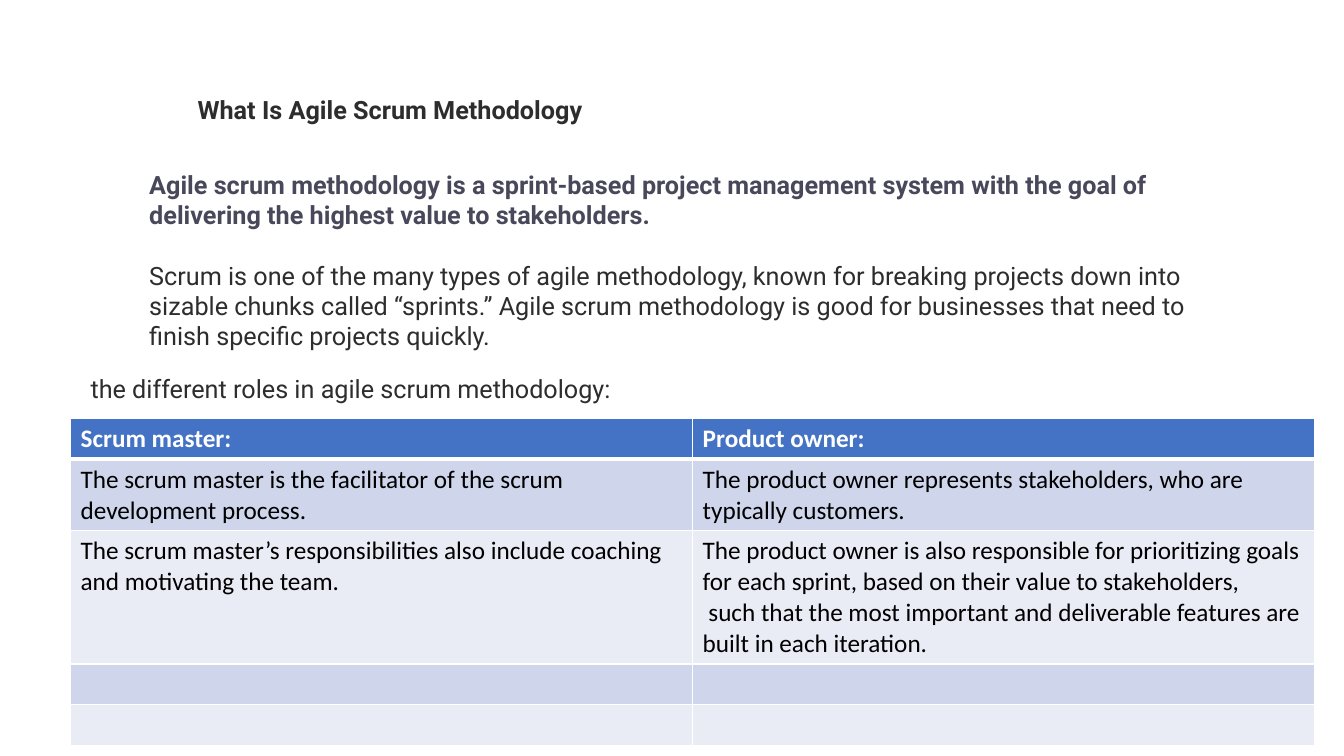
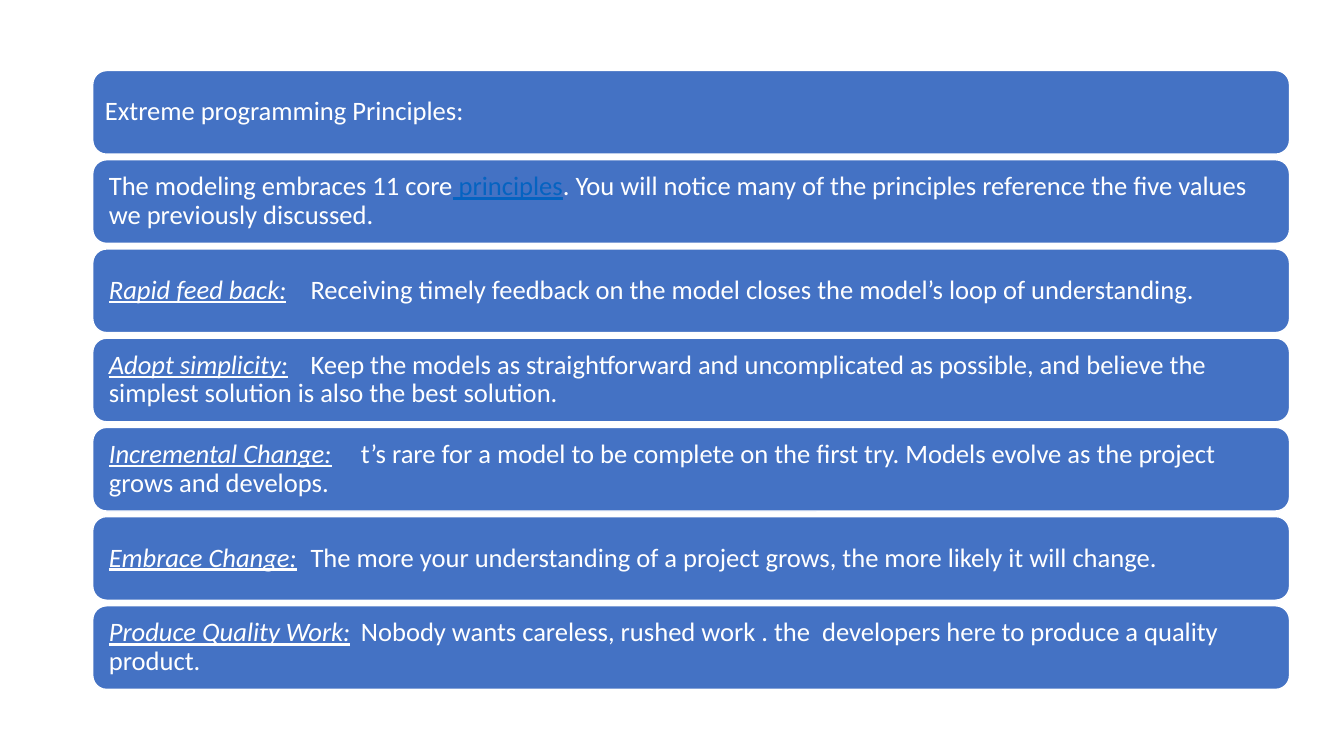
from dataclasses import dataclass, replace

from lxml.etree import SubElement
from pptx import Presentation
from pptx.dml.color import RGBColor
from pptx.enum.shapes import MSO_SHAPE
from pptx.enum.text import MSO_ANCHOR, MSO_AUTO_SIZE, PP_ALIGN
from pptx.oxml.ns import qn
from pptx.util import Inches, Pt


@dataclass(frozen=True)
class TextStyle:
    """Character formatting of a run."""
    font: str
    size: float
    color: RGBColor
    bold: bool = False
    italic: bool = False
    underline: bool = False


@dataclass(frozen=True)
class Box:
    """A region of a slide, in inches."""
    left: float
    top: float
    width: float
    height: float


@dataclass(frozen=True)
class Theme:
    """Colours and text styles shared by the slides."""
    accent: RGBColor = RGBColor.from_string("4472C4")
    band_dark: RGBColor = RGBColor.from_string("CFD5EA")
    band_light: RGBColor = RGBColor.from_string("E9EBF5")
    white: RGBColor = RGBColor.from_string("FFFFFF")
    body: TextStyle = TextStyle("Roboto", 18, RGBColor.from_string("2D2D2D"))
    lead: TextStyle = TextStyle("Roboto", 18, RGBColor.from_string("49485B"), bold=True)
    cell: TextStyle = TextStyle("Calibri", 18, RGBColor.from_string("000000"))
    panel: TextStyle = TextStyle("Calibri", 19, RGBColor.from_string("FFFFFF"))
    link_color: RGBColor = RGBColor.from_string("0563C1")


THEME = Theme()
HEADING = replace(THEME.body, bold=True)
CELL_HEADING = replace(THEME.cell, color=THEME.white, bold=True)
TERM = replace(THEME.panel, italic=True, underline=True)
LINK = replace(THEME.panel, color=THEME.link_color, underline=True)

ROLES = [
    [["Scrum master:"], ["Product owner:"]],
    [["The scrum master is the facilitator of the scrum development process."],
     ["The product owner represents stakeholders, who are typically customers."]],
    [["The scrum master’s responsibilities also include coaching and motivating the team."],
     ["The product owner is also responsible for prioritizing goals for each sprint, "
      "based on their value to stakeholders,",
      " such that the most important and deliverable features are built in each iteration."]],
    [[], []],
    [[], []],
]
ROLE_HEIGHTS = [0.4, 0.69, 1.3, 0.4, 0.4]

PRINCIPLES = [
    (None, [("Extreme programming Principles:", THEME.panel)]),
    (None, [("The modeling embraces 11 core", THEME.panel),
            (" principles", LINK),
            (". You will notice many of the principles reference the five values "
             "we previously discussed.", THEME.panel)]),
    (2.0, [("Rapid feed back:", TERM),
           ("\tReceiving timely feedback on the model closes the model’s loop "
            "of understanding.", THEME.panel)]),
    (2.14, [("Adopt simplicity:\t", TERM),
            ("Keep the models as straightforward and uncomplicated as possible, and "
             "believe the simplest solution is also the best solution.", THEME.panel)]),
    (2.45, [("Incremental Change:\t", TERM),
            ("t’s rare for a model to be complete on the first try. Models evolve "
             "as the project grows and develops.", THEME.panel)]),
    (2.16, [("Embrace Change:\t", TERM),
            ("The more your understanding of a project grows, the more likely "
             "it will change.", THEME.panel)]),
    (2.76, [("Produce Quality Work:\t", TERM),
            ("Nobody wants careless, rushed work . the  developers here to produce "
             "a quality product.", THEME.panel)]),
]


def add_run(paragraph, text, style):
    """Append one formatted run to a paragraph."""
    run = paragraph.add_run()
    run.text = text
    font = run.font
    font.name = style.font
    font.size = Pt(style.size)
    font.color.rgb = style.color
    font.bold = style.bold
    font.italic = style.italic
    font.underline = style.underline


def place(shape, box):
    """Move and size a shape to fill a box."""
    shape.left, shape.top = Inches(box.left), Inches(box.top)
    shape.width, shape.height = Inches(box.width), Inches(box.height)


def write_text(shape, paragraphs, anchor=MSO_ANCHOR.TOP, gap=0, line_spacing=1.0):
    """Write left-aligned paragraphs, each a list of text and style pairs."""
    frame = shape.text_frame
    frame.word_wrap = True
    frame.auto_size = MSO_AUTO_SIZE.NONE
    frame.vertical_anchor = anchor
    for index, runs in enumerate(paragraphs):
        paragraph = frame.add_paragraph() if index else frame.paragraphs[0]
        paragraph.alignment = PP_ALIGN.LEFT
        paragraph.line_spacing = line_spacing
        paragraph.space_before = Pt(gap if index else 0)
        properties = paragraph._p.get_or_add_pPr()
        properties.set("marL", "0")
        properties.set("indent", "0")
        SubElement(properties, qn("a:buNone"))
        for text, style in runs:
            add_run(paragraph, text, style)


def set_borders(cell, bottom_width):
    """Draw white borders around a table cell."""
    properties = cell._tc.get_or_add_tcPr()
    for side, width in (("L", 1), ("R", 1), ("T", 1), ("B", bottom_width)):
        line = SubElement(properties, qn(f"a:ln{side}"), w=str(Pt(width)))
        fill = SubElement(line, qn("a:solidFill"))
        SubElement(fill, qn("a:srgbClr"), val=str(THEME.white))


def add_roles_table(slide, box):
    """Add the banded table of scrum roles."""
    shape = slide.shapes.add_table(
        len(ROLES), len(ROLES[0]), Inches(box.left), Inches(box.top),
        Inches(box.width), Inches(box.height))
    table = shape.table
    for column in table.columns:
        column.width = Inches(box.width / len(ROLES[0]))
    for row_index, (row, height) in enumerate(zip(ROLES, ROLE_HEIGHTS)):
        table.rows[row_index].height = Inches(height)
        is_header = row_index == 0
        band = THEME.band_dark if row_index % 2 else THEME.band_light
        style = CELL_HEADING if is_header else THEME.cell
        for column_index, texts in enumerate(row):
            cell = table.cell(row_index, column_index)
            set_borders(cell, 3 if is_header else 1)
            cell.fill.solid()
            cell.fill.fore_color.rgb = THEME.accent if is_header else band
            for index, text in enumerate(texts):
                frame = cell.text_frame
                paragraph = frame.add_paragraph() if index else frame.paragraphs[0]
                add_run(paragraph, text, style)


def add_panel(slide, box):
    """Add one rounded blue panel."""
    panel = slide.shapes.add_shape(
        MSO_SHAPE.ROUNDED_RECTANGLE, Inches(box.left), Inches(box.top),
        Inches(box.width), Inches(box.height))
    panel.shadow.inherit = False
    panel.fill.solid()
    panel.fill.fore_color.rgb = THEME.accent
    panel.line.color.rgb = THEME.white
    panel.line.width = Pt(1)
    return panel


def write_principle(shape, runs, tab):
    """Write a principle, with its explanation starting at the tab stop."""
    frame = shape.text_frame
    frame.margin_left = frame.margin_right = Inches(0.12)
    frame.margin_top = frame.margin_bottom = Inches(0.12)
    write_text(shape, [runs], MSO_ANCHOR.MIDDLE, line_spacing=0.9)
    if tab:
        properties = frame.paragraphs[0]._p.get_or_add_pPr()
        tabs = SubElement(properties, qn("a:tabLst"))
        SubElement(tabs, qn("a:tab"), pos=str(Inches(tab)), algn="l")


def add_principle_panels(slide, box, pitch=0.885):
    """Stack the principles in equal panels, the first holding the title."""
    height = box.height - pitch * (len(PRINCIPLES) - 1)
    for index, (tab, runs) in enumerate(PRINCIPLES):
        panel_box = Box(box.left, box.top + index * pitch, box.width, height)
        shape = add_panel(slide, panel_box)
        if index == 0:
            shape = slide.shapes.title
            place(shape, panel_box)
            shape.element.getparent().append(shape.element)
        write_principle(shape, runs, tab)


def build_scrum_slide(presentation):
    """Build the slide that defines scrum and its roles."""
    slide = presentation.slides.add_slide(presentation.slide_layouts[1])
    title, body = slide.placeholders
    place(title, Box(1.86, 0.89, 6.67, 0.4))
    write_text(title, [[("What Is Agile Scrum Methodology", HEADING)]])
    place(body, Box(1.38, 1.63, 10.85, 1.92))
    write_text(body, [
        [("Agile scrum methodology is a sprint-based project management system with "
          "the goal of delivering the highest value to stakeholders.", THEME.lead)],
        [("Scrum is one of the many types of agile methodology, known for breaking "
          "projects down into sizable chunks called “sprints.” Agile scrum methodology "
          "is good for businesses that need to finish specific projects quickly.",
          THEME.body)],
    ], gap=21.6)
    caption = slide.shapes.add_textbox(
        Inches(0.8), Inches(3.65), Inches(6.67), Inches(0.4))
    write_text(caption, [[("the different roles in agile scrum methodology:", THEME.body)]])
    add_roles_table(slide, Box(0.7, 4.15, 12.34, sum(ROLE_HEIGHTS)))


def build_principles_slide(presentation):
    """Build the slide of extreme programming principles."""
    slide = presentation.slides.add_slide(presentation.slide_layouts[5])
    add_principle_panels(slide, Box(0.92, 0.7, 11.87, 6.14))


def main():
    """Build and save the presentation."""
    presentation = Presentation()
    presentation.slide_width = Inches(13.33)
    presentation.slide_height = Inches(7.5)
    build_scrum_slide(presentation)
    build_principles_slide(presentation)
    presentation.save("out.pptx")


if __name__ == "__main__":
    main()
